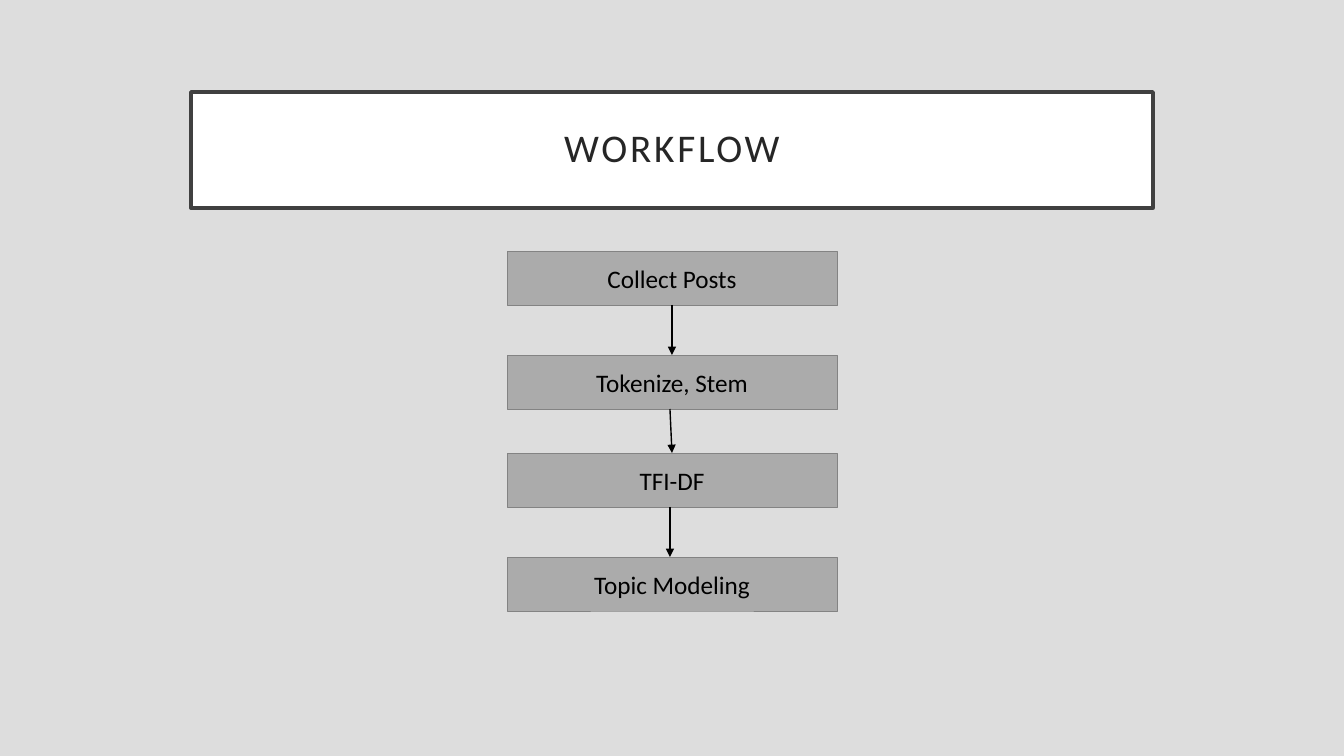
from lxml import etree
from pptx import Presentation
from pptx.dml.color import RGBColor
from pptx.enum.shapes import MSO_CONNECTOR, MSO_SHAPE
from pptx.enum.text import MSO_ANCHOR, PP_ALIGN
from pptx.oxml.ns import qn
from pptx.util import Pt

TITLE = "WORKFLOW"
TITLE_BOX = (191, 92, 962, 116)
STEPS = [
    ("Collect Posts", 251),
    ("Tokenize, Stem", 355),
    ("TFI-DF", 453),
    ("Topic Modeling", 557),
]
LEFT, WIDE, HIGH = 507, 330, 54
ARROWS = [(672, 672), (670, 672), (670, 670)]

BACK = RGBColor(0xDD, 0xDD, 0xDD)
WHITE = RGBColor(0xFF, 0xFF, 0xFF)
FRAME = RGBColor(0x40, 0x40, 0x40)
INK = RGBColor(0x26, 0x26, 0x26)
LIGHT = RGBColor(0xAB, 0xAB, 0xAB)
DARK = RGBColor(0xA8, 0xA8, 0xA8)
EDGE = RGBColor(0x83, 0x83, 0x83)
BLACK = RGBColor(0, 0, 0)

RECT = MSO_SHAPE.RECTANGLE
STRAIGHT = MSO_CONNECTOR.STRAIGHT
MIDDLE = MSO_ANCHOR.MIDDLE
CENTER = PP_ALIGN.CENTER
FONT = "Calibri"
SCALE = 914400 / 100.8


def px(n):
    return round(n * SCALE)


def add_box(slide, box, text, size, ink, edge, width):
    shape = slide.shapes.add_shape(RECT, *map(px, box))
    shape.shadow.inherit = False
    shape.line.color.rgb = edge
    shape.line.width = Pt(width)
    frame = shape.text_frame
    frame.word_wrap = True
    frame.vertical_anchor = MIDDLE
    para = frame.paragraphs[0]
    para.text = text
    para.alignment = CENTER
    para.font.name = FONT
    para.font.size = Pt(size)
    para.font.color.rgb = ink
    return shape


def add_title(slide):
    shape = add_box(slide, TITLE_BOX, TITLE, 28, INK, FRAME, 2.5)
    shape.fill.solid()
    shape.fill.fore_color.rgb = WHITE
    para = shape.text_frame.paragraphs[0]
    para.line_spacing = 0.9
    para.runs[0].font._element.set("spc", "200")


def add_step(slide, text, top):
    shape = add_box(slide, (LEFT, top, WIDE, HIGH), text, 18, BLACK, EDGE, 0.5)
    shape.fill.gradient()
    shape.fill.gradient_angle = 270
    for stop, color, place in zip(shape.fill.gradient_stops, (LIGHT, DARK), (0, 1)):
        stop.color.rgb = color
        stop.position = place


def add_arrow(slide, *ends):
    arrow = slide.shapes.add_connector(STRAIGHT, *map(px, ends))
    arrow.line.color.rgb = BLACK
    arrow.line.width = Pt(1)
    line = arrow.line._get_or_add_ln()
    etree.SubElement(line, qn("a:tailEnd"), type="triangle")
    etree.SubElement(arrow._element.spPr, qn("a:effectLst"))


def main():
    deck = Presentation()
    deck.slide_width, deck.slide_height = px(1344), px(756)
    slide = deck.slides.add_slide(deck.slide_layouts[6])
    slide.background.fill.solid()
    slide.background.fill.fore_color.rgb = BACK
    add_title(slide)
    for text, top in STEPS:
        add_step(slide, text, top)
    tops = [top for _, top in STEPS]
    for (start, end), top, below in zip(ARROWS, tops, tops[1:]):
        add_arrow(slide, start, top + HIGH, end, below)
    deck.save("out.pptx")


if __name__ == "__main__":
    main()
